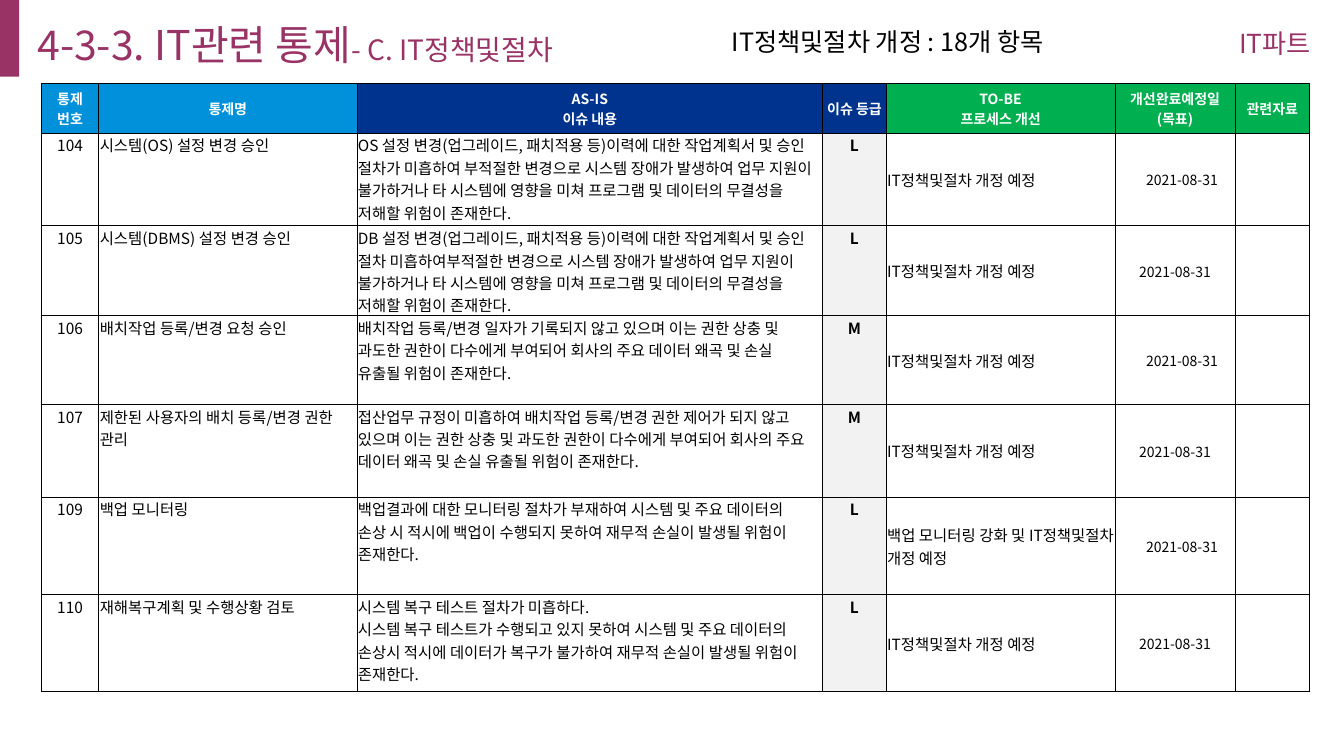
from pptx import Presentation, util as u
from pptx.dml.color import RGBColor
from pptx.enum import shapes, text
from pptx.oxml import parse_xml
from pptx.oxml.ns import nsdecls

COLORS = {"plum": "993366", "sky": "0091DA", "navy": "00338D", "green": "00B050",
          "grade": "F2F2F2", "white": "FFFFFF", "black": "000000"}
LEFT, CENTER, RIGHT = text.PP_ALIGN.LEFT, text.PP_ALIGN.CENTER, text.PP_ALIGN.RIGHT
TOP, MIDDLE = text.MSO_ANCHOR.TOP, text.MSO_ANCHOR.MIDDLE


def write(paragraph, content, size=11, ink="black", bold=False, align=LEFT,
          spacing=None, font="Noto Sans CJK KR"):
    """Append content to a paragraph; a newline becomes a line break."""
    paragraph.alignment = align
    if spacing:
        paragraph.line_spacing = spacing
    for number, line in enumerate(content.split("\n")):
        if number:
            paragraph.add_line_break()
        run = paragraph.add_run()
        run.text = line
        run.font.size, run.font.bold, run.font.name = u.Pt(size), bold, font
        run.font.color.rgb = color(ink)
        # Kerning off keeps full-width gaps between Korean words
        run.font._element.set("kern", "0")
        run.font._element.append(
            parse_xml(f'<a:ea {nsdecls("a")} typeface="{font}"/>'))


def color(name):
    return RGBColor.from_string(COLORS[name])


class ControlSlide:
    def __init__(self, deck):
        self.slide = deck.slides.add_slide(deck.slide_layouts[6])

    def bar(self, left, top, width, height, fill):
        bar = self.slide.shapes.add_shape(
            shapes.MSO_SHAPE.RECTANGLE, *map(u.Inches, (left, top, width, height)))
        bar.shadow.inherit = False
        bar.fill.solid()
        bar.fill.fore_color.rgb = color(fill)
        bar.line.fill.background()

    def label(self, left, top, width, height, parts, anchor=MIDDLE, inset=0, **style):
        """Add one line of text made of (wording, size) parts."""
        frame = self.slide.shapes.add_textbox(
            *map(u.Inches, (left, top, width, height))).text_frame
        frame.word_wrap = False
        frame.vertical_anchor = anchor
        frame.margin_left = frame.margin_right = u.Inches(inset)
        frame.margin_top = frame.margin_bottom = u.Inches(inset / 2)
        for wording, size in parts:
            write(frame.paragraphs[0], wording, size=size, **style)

    def table(self, left, top, widths, heights):
        table = self.slide.shapes.add_table(
            len(heights), len(widths), u.Inches(left), u.Inches(top),
            u.Inches(sum(widths)), u.Inches(sum(heights))).table
        table.first_row = table.horz_banding = False
        for column, width in zip(table.columns, widths):
            column.width = u.Inches(width)
        for row, height in zip(table.rows, heights):
            row.height = u.Inches(height)
        return table

    def cell(self, cell, paragraphs, fill="white", anchor=TOP, right=0.01, **style):
        cell.margin_left = cell.margin_top = u.Inches(0.01)
        cell.margin_right = u.Inches(right)
        cell.margin_bottom = 0
        cell.vertical_anchor = anchor
        for side in ("lnL", "lnR", "lnT", "lnB"):
            cell._tc.get_or_add_tcPr().append(parse_xml(
                f'<a:{side} {nsdecls("a")} w="{u.Pt(0.5)}"><a:solidFill>'
                f'<a:srgbClr val="{COLORS["black"]}"/></a:solidFill></a:{side}>'))
        cell.fill.solid()
        cell.fill.fore_color.rgb = color(fill)
        frame = cell.text_frame
        for number, wording in enumerate(paragraphs):
            paragraph = frame.add_paragraph() if number else frame.paragraphs[0]
            write(paragraph, wording, **style)


deck = Presentation()
deck.slide_width, deck.slide_height = u.Inches(13.33), u.Inches(7.5)
page = ControlSlide(deck)

# Heading
page.bar(0, 0, 0.19, 0.76, "plum")
page.label(0.37, 0.02, 6.2, 0.78, [("4-3-3. IT관련 통제", 29.3), ("- C. IT정책및절차", 20)],
           ink="plum", spacing=1.1)
page.label(9.19, 0.11, 3.81, 0.6, [("IT파트", 18.7)],
           ink="plum", align=RIGHT, spacing=1.1)

# Control table
headers = [
    (["통제", "번호"], "sky"),
    (["통제명"], "sky"),
    (["AS-IS\n이슈 내용"], "navy"),
    (["이슈 등급"], "navy"),
    (["TO-BE\n프로세스 개선"], "green"),
    (["개선완료예정일", "(목표)"], "green"),
    (["관련자료"], "green"),
]
revision = "IT정책및절차 개정 예정"
due, due_indented = "2021-08-31", "\u30002021-08-31"
controls = [
    ("104", "시스템(OS) 설정 변경 승인",
     "OS 설정 변경(업그레이드, 패치적용 등)이력에 대한 작업계획서 및 승인 절차가 미흡하여 "
     "부적절한 변경으로 시스템 장애가 발생하여 업무 지원이 불가하거나 타 시스템에 영향을 미쳐 "
     "프로그램 및 데이터의 무결성을 저해할 위험이 존재한다.",
     "L", revision, due_indented),
    ("105", "시스템(DBMS) 설정 변경 승인",
     "DB 설정 변경(업그레이드, 패치적용 등)이력에 대한 작업계획서 및 승인 절차 "
     "미흡하여부적절한 변경으로 시스템 장애가 발생하여 업무 지원이 불가하거나 타 시스템에 영향을 "
     "미쳐 프로그램 및 데이터의 무결성을 저해할 위험이 존재한다.",
     "L", revision, due),
    ("106", "배치작업 등록/변경 요청 승인",
     "배치작업 등록/변경 일자가 기록되지 않고 있으며 이는 권한 상충 및 과도한 권한이 다수에게 "
     "부여되어 회사의 주요 데이터 왜곡 및 손실 유출될 위험이 존재한다.",
     "M", revision, due_indented),
    ("107", "제한된 사용자의 배치 등록/변경 권한 관리",
     "접산업무 규정이 미흡하여 배치작업 등록/변경 권한 제어가 되지 않고 있으며 이는 권한 상충 및 "
     "과도한 권한이 다수에게 부여되어 회사의 주요 데이터 왜곡 및 손실 유출될 위험이 존재한다.",
     "M", revision, due),
    ("109", "백업 모니터링",
     "백업결과에 대한 모니터링 절차가 부재하여 시스템 및 주요 데이터의 손상 시 적시에 백업이 "
     "수행되지 못하여 재무적 손실이 발생될 위험이 존재한다.",
     "L", "백업 모니터링 강화 및 " + revision, due_indented),
    ("110", "재해복구계획 및 수행상황 검토",
     "시스템 복구 테스트 절차가 미흡하다.\n시스템 복구 테스트가 수행되고 있지 못하여 시스템 및 주요 "
     "데이터의 손상시 적시에 데이터가 복구가 불가하여 재무적 손실이 발생될 위험이 존재한다.",
     "L", revision, due),
]
column_styles = [
    {"align": CENTER},
    {},
    {"right": 0.07},
    {"align": CENTER, "bold": True, "fill": "grade"},
    {"anchor": MIDDLE},
    {"align": CENTER, "anchor": MIDDLE, "size": 10},
]
control_table = page.table(0.41, 0.83, [0.57, 2.56, 4.62, 0.63, 2.27, 1.19, 0.74],
                           [0.49, 0.92, 0.89, 0.88, 0.92, 0.97, 0.96])
for column, (heading, fill) in enumerate(headers):
    page.cell(control_table.cell(0, column), heading, fill=fill, anchor=MIDDLE,
              size=10, ink="white", bold=True, align=CENTER)
for row, control in enumerate(controls, 1):
    for column, (wording, style) in enumerate(zip(control, column_styles)):
        page.cell(control_table.cell(row, column), [wording], **style)
    page.cell(control_table.cell(row, len(control)), [])

# Revision count
page.label(7.16, 0.21, 3.62, 0.4, [("IT정책및절차 개정 : 18개 항목", 18)],
           anchor=TOP, inset=0.1)

deck.save("out.pptx")
